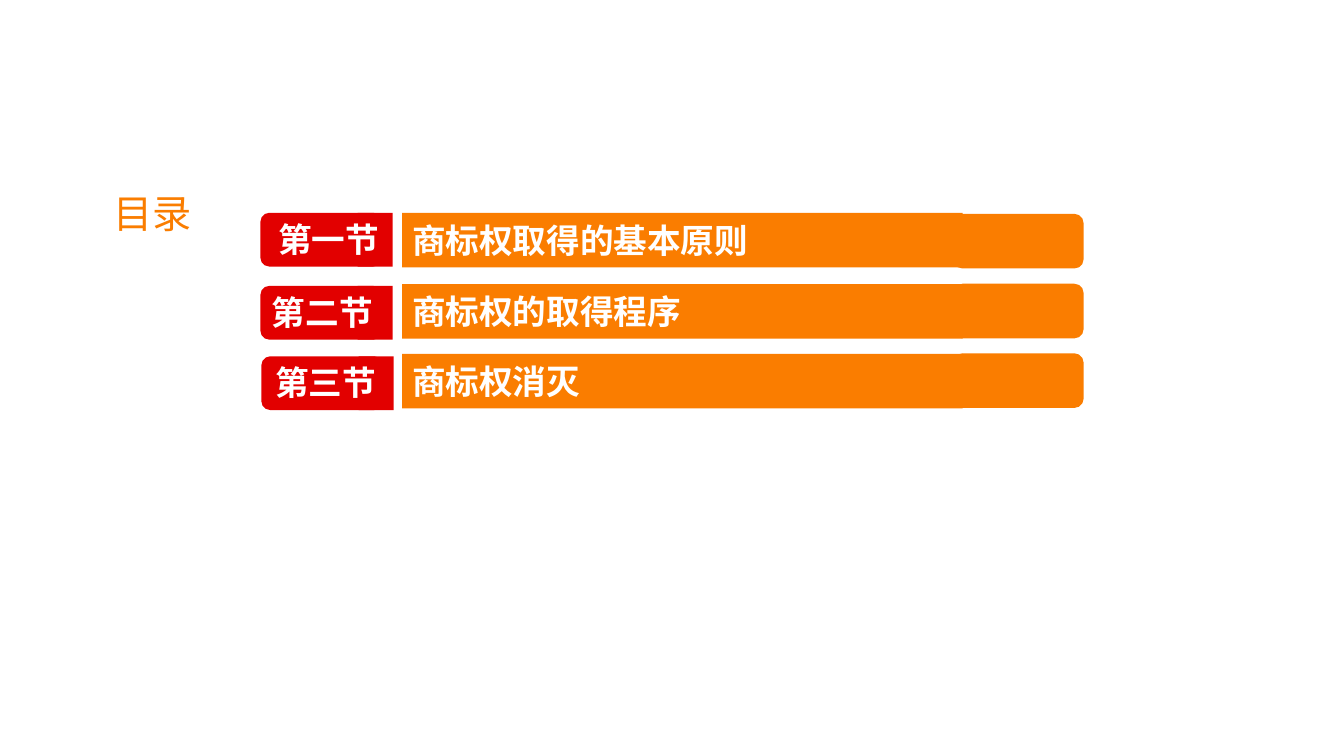
from dataclasses import dataclass
from lxml.etree import SubElement
from pptx import Presentation
from pptx.dml.color import RGBColor as RGB
from pptx.enum.shapes import MSO_SHAPE as Form
from pptx.enum.text import MSO_ANCHOR as Anchor, PP_ALIGN as Align
from pptx.oxml.ns import qn
from pptx.util import Pt


@dataclass(frozen=True)
class Theme:
    font: str = "Noto Sans CJK SC"
    red: str = "E20000"
    gold: str = "FA7D00"
    white: str = "FFFFFF"
    head: int = 28
    body: int = 24


class Deck:
    def __init__(self, theme):
        self.theme = theme
        self.prs = Presentation()
        self.prs.slide_width, self.prs.slide_height = Pt(960), Pt(540)
        self.slide = self.prs.slides.add_slide(self.prs.slide_layouts[6])

    def letter(self, shape, text, size, color, bold):
        para = shape.text_frame.paragraphs[0]
        para.text = text
        para.alignment = Align.LEFT
        for run in para.runs:
            font = run.font
            font.name, font.size, font.bold = self.theme.font, Pt(size), bold
            font.color.rgb = RGB.from_string(color)
            # East Asian typeface
            SubElement(run._r.get_or_add_rPr(), qn("a:ea"),
                       typeface=self.theme.font)

    def block(self, form, box, color):
        shape = self.slide.shapes.add_shape(form, *map(Pt, box))
        shape.shadow.inherit = False
        shape.fill.solid()
        shape.fill.fore_color.rgb = RGB.from_string(color)
        shape.line.fill.background()
        return shape

    def bar(self, box, text):
        shape = self.block(Form.RECTANGLE, box, self.theme.gold)
        shape.text_frame.vertical_anchor = Anchor.MIDDLE
        self.letter(shape, text, self.theme.body, self.theme.white, True)

    def label(self, box, text, size, color, bold=False, wrap=True):
        shape = self.slide.shapes.add_textbox(*map(Pt, box))
        shape.text_frame.word_wrap = wrap
        self.letter(shape, text, size, color, bold)


def main():
    theme = Theme()
    deck = Deck(theme)

    # Heading
    deck.label((74.2, 131.8, 71.3, 41), "目录", theme.head, theme.gold, wrap=False)

    # Sections: number, title, bar top, cap top, tag top, tag left, number left
    rows = [
        ("第一节", "商标权取得的基本原则", 152, 152.8, 152, 186, 191.5),
        ("第二节", "商标权的取得程序", 203, 202.7, 204.2, 186, 187.2),
        ("第三节", "商标权消灭", 252.7, 252.4, 254.5, 186.7, 189.5),
    ]
    for number, title, top, cap, tag, left, inset in rows:
        # Red tag: round on the left, square on the right
        deck.block(Form.ROUNDED_RECTANGLE, (left, tag, 87, 38.4), theme.red)
        deck.block(Form.RECTANGLE, (left + 69.5, tag, 25, 38.4), theme.red)
        # Orange bar with a round right end
        deck.block(Form.ROUNDED_RECTANGLE, (681, cap, 93, 39), theme.gold)
        deck.bar((287.3, top, 400.3, 39), title)
        deck.label((inset, tag + 0.8, 93, 36), number,
                   theme.body, theme.white, bold=True)

    deck.prs.save("out.pptx")


if __name__ == "__main__":
    main()
